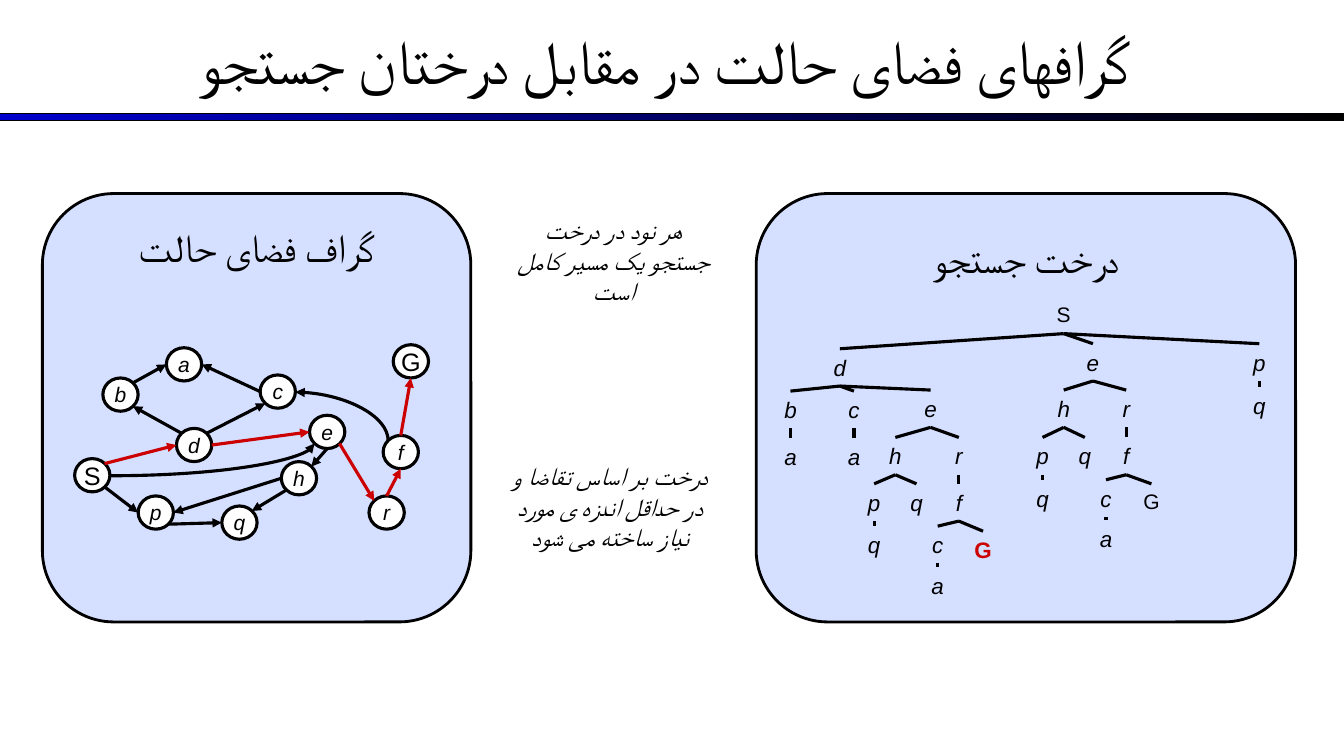
from pptx import Presentation
from pptx.dml.color import RGBColor
from pptx.enum.shapes import MSO_CONNECTOR as LINK, MSO_SHAPE as SHAPE
from pptx.enum.text import MSO_ANCHOR as ANCHOR, MSO_AUTO_SIZE as AUTO, PP_ALIGN as ALIGN
from pptx.oxml.ns import qn
from pptx.util import Inches, Pt
from lxml import etree

BLACK, WHITE, RED, PANEL, BLUE = "000000", "FFFFFF", "CC0000", "D5DFFF", "0000CC"


def write(shape, text, size, font="Arial", color=BLACK, italic=False, bold=False,
          rtl=False, anchor=ANCHOR.TOP, wrap=True, insets=(0.1, 0.05), grow=False):
    frame = shape.text_frame
    frame.word_wrap = wrap
    frame.auto_size = AUTO.SHAPE_TO_FIT_TEXT if grow else AUTO.NONE
    frame.vertical_anchor = anchor
    frame.margin_left = frame.margin_right = Inches(insets[0])
    frame.margin_top = frame.margin_bottom = Inches(insets[1])
    para = frame.paragraphs[0]
    para.alignment = ALIGN.CENTER
    if rtl:
        para._p.get_or_add_pPr().set("rtl", "1")
    span = para.add_run()
    span.text = text
    span.font.size = Pt(size)
    span.font.name = font
    span.font.italic = italic
    span.font.bold = bold
    span.font.color.rgb = RGBColor.from_string(color)
    # Arabic script takes its face from the complex-script font
    etree.SubElement(span._r.get_or_add_rPr(), qn("a:cs")).set("typeface", font)


def connect(shapes, start, end, color=BLACK, arrow=False, kind=LINK.STRAIGHT):
    line = shapes.add_connector(kind, *(Inches(v) for v in (*start, *end)))
    line.line.width = Pt(2.25)
    line.line.color.rgb = RGBColor.from_string(color)
    if arrow:
        etree.SubElement(line.line._get_or_add_ln(), qn("a:tailEnd")).set("type", "triangle")
    etree.SubElement(line._element.spPr, qn("a:effectLst"))
    return line


deck = Presentation()
deck.slide_width, deck.slide_height = Inches(13.33), Inches(7.5)
page = deck.slides.add_slide(deck.slide_layouts[5])

# Title and the rule below it
title = page.shapes.title
title.left, title.top = Inches(0), Inches(-0.03)
title.width, title.height = Inches(13.33), Inches(1.25)
write(title, "گرافهای فضای حالت در مقابل درختان جستجو ", 44, font="Calibri", anchor=ANCHOR.MIDDLE)

bar = page.shapes.add_shape(SHAPE.RECTANGLE, 0, Inches(1.13), Inches(13.33), Inches(0.07))
bar.shadow.inherit = False
bar.fill.gradient()
bar.fill.gradient_angle = 0
for stop, color in zip(bar.fill.gradient_stops, (BLUE, BLACK)):
    stop.color.rgb = RGBColor.from_string(color)
bar.line.color.rgb = RGBColor.from_string(BLACK)
bar.line.width = Pt(0.75)

# Panels
for left, width in ((7.5, 5.35), (0.42, 4.25)):
    panel = page.shapes.add_shape(SHAPE.ROUNDED_RECTANGLE, Inches(left), Inches(1.92),
                                  Inches(width), Inches(4.25))
    panel.shadow.inherit = False
    panel.fill.solid()
    panel.fill.fore_color.rgb = RGBColor.from_string(PANEL)
    panel.line.color.rgb = RGBColor.from_string(BLACK)
    panel.line.width = Pt(2)

# Search tree: each key is the whole path from S, each value is (centre x, top)
LABEL_HEIGHT = 0.37
tree = {
    "S": (10.55, 2.94),
    "Sd": (8.33, 3.46), "Se": (10.84, 3.41), "Sp": (12.49, 3.41),
    "Sdb": (7.84, 3.88), "Sdc": (8.47, 3.88), "Sde": (9.23, 3.87),
    "Sdba": (7.84, 4.35), "Sdca": (8.47, 4.35),
    "Sdeh": (8.88, 4.34), "Sder": (9.51, 4.34),
    "Sdehp": (8.67, 4.8), "Sdehq": (9.09, 4.8), "Sdehpq": (8.67, 5.22),
    "Sderf": (9.51, 4.8), "Sderfc": (9.3, 5.22), "SderfG": (9.75, 5.27),
    "Sderfca": (9.3, 5.63),
    "Seh": (10.55, 3.87), "Ser": (11.17, 3.87),
    "Sehp": (10.34, 4.34), "Sehq": (10.76, 4.34), "Sehpq": (10.34, 4.76),
    "Serf": (11.17, 4.34), "Serfc": (10.97, 4.76), "SerfG": (11.42, 4.8),
    "Serfca": (10.97, 5.16),
    "Spq": (12.49, 3.84),
}
for path, (x, top) in tree.items():
    letter, goal = path[-1], path == "SderfG"
    plain = letter.isupper()
    width = 0.69 if plain else 0.35
    label = page.shapes.add_textbox(Inches(x - width / 2), Inches(top),
                                    Inches(width), Inches(LABEL_HEIGHT))
    write(label, letter, 15 if plain and not goal else 16, color=RED if goal else BLACK,
          italic=not plain, bold=goal, grow=True)
    if path != "S":
        parent_x, parent_top = tree[path[:-1]]
        connect(page.shapes, (parent_x, parent_top + LABEL_HEIGHT), (x, top))

# State-space graph: left and top of each node
NODE_WIDTH, NODE_HEIGHT = 0.35, 0.33
nodes = {
    "S": (0.74, 4.55), "G": (3.9, 3.42), "d": (1.75, 4.25), "b": (1.02, 3.75),
    "p": (1.37, 4.92), "q": (2.2, 5.02), "c": (2.58, 3.72), "e": (3.07, 4.12),
    "h": (2.79, 4.58), "a": (1.65, 3.45), "f": (3.8, 4.32), "r": (3.66, 4.92),
}
graph = page.shapes.add_group_shape().shapes
for letter, (left, top) in nodes.items():
    node = graph.add_shape(SHAPE.FLOWCHART_CONNECTOR, Inches(left), Inches(top),
                           Inches(NODE_WIDTH), Inches(NODE_HEIGHT))
    node.shadow.inherit = False
    node.fill.solid()
    node.fill.fore_color.rgb = RGBColor.from_string(WHITE)
    node.line.color.rgb = RGBColor.from_string(BLACK)
    node.line.width = Pt(2.25)
    plain = letter.isupper()
    write(node, letter, 18 if plain else 15, italic=not plain,
          anchor=ANCHOR.MIDDLE, wrap=False, insets=(0, 0))

# Compass points on a node, as fractions of its width and height
sites = {"N": (0.5, 0), "S": (0.5, 1), "W": (0, 0.5), "E": (1, 0.5),
         "NW": (0.15, 0.15), "NE": (0.85, 0.15), "SW": (0.15, 0.85), "SE": (0.85, 0.85)}
edges = [
    ("S", "SE", "p", "W", BLACK), ("p", "SE", "q", "W", BLACK),
    ("h", "SW", "q", "NE", BLACK), ("h", "W", "p", "E", BLACK),
    ("e", "S", "h", "NE", BLACK), ("e", "SE", "r", "NW", RED),
    ("r", "N", "f", "S", RED), ("f", "N", "G", "S", RED),
    ("S", "NE", "d", "W", RED), ("d", "NW", "b", "SE", BLACK),
    ("b", "NE", "a", "W", BLACK), ("c", "W", "a", "E", BLACK),
    ("d", "NE", "c", "SW", BLACK), ("d", "E", "e", "W", RED),
]
for source, source_site, target, target_site, color in edges:
    start, end = (
        (nodes[name][0] + NODE_WIDTH * sites[site][0],
         nodes[name][1] + NODE_HEIGHT * sites[site][1])
        for name, site in ((source, source_site), (target, target_site)))
    connect(graph, start, end, color, arrow=True)

# Curves f to c (a quarter turn about its centre) and S to e
for start, end, turn in (((3.63, 3.67), (3.15, 4.59), 90), ((1.09, 4.72), (3.12, 4.4), 0)):
    curve = connect(graph, start, end, arrow=True, kind=LINK.CURVE)
    curve._element.spPr.find(qn("a:prstGeom")).set("prst", "curvedConnector2")
    curve._element.spPr.find(qn("a:xfrm")).set("rot", str(turn * 60000))

# Notes and panel headings
captions = [
    (4.92, 4.52, 2.26, 1.01, 18, "درخت بر اساس تقاضا و در حداقل اندزه ی مورد نیاز ساخته می شود"),
    (5, 2.08, 2.17, 0.71, 18, "هر نود در درخت جستجو یک مسیر کامل است"),
    (7.51, 2.28, 5.33, 0.57, 28, "درخت جستجو"),
    (0.67, 2.17, 3.75, 0.57, 28, "گراف فضای حالت"),
]
for left, top, width, height, size, text in captions:
    box = page.shapes.add_textbox(Inches(left), Inches(top), Inches(width), Inches(height))
    write(box, text, size, font="Calibri", italic=size == 18, rtl=True, grow=True)

deck.save("out.pptx")
